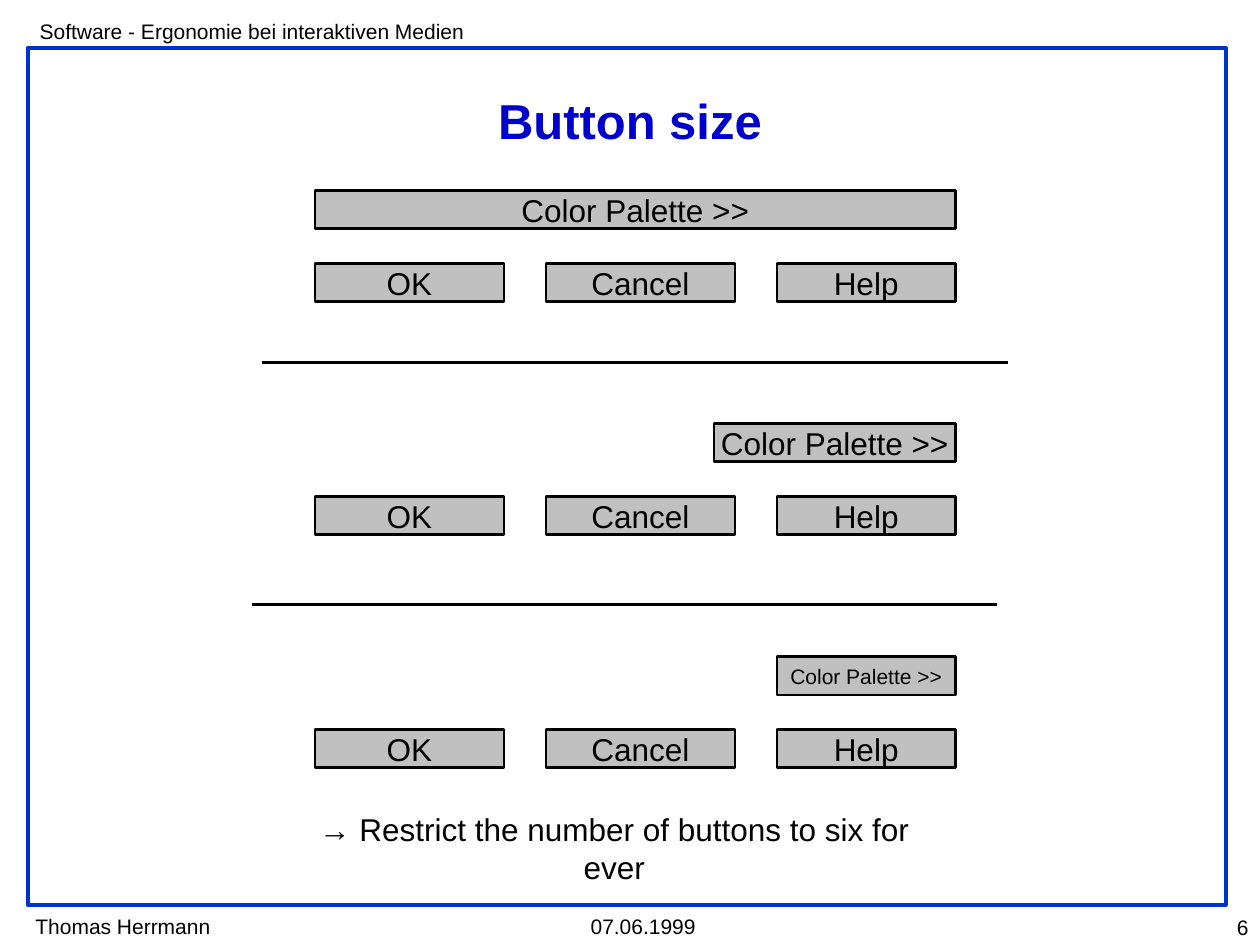
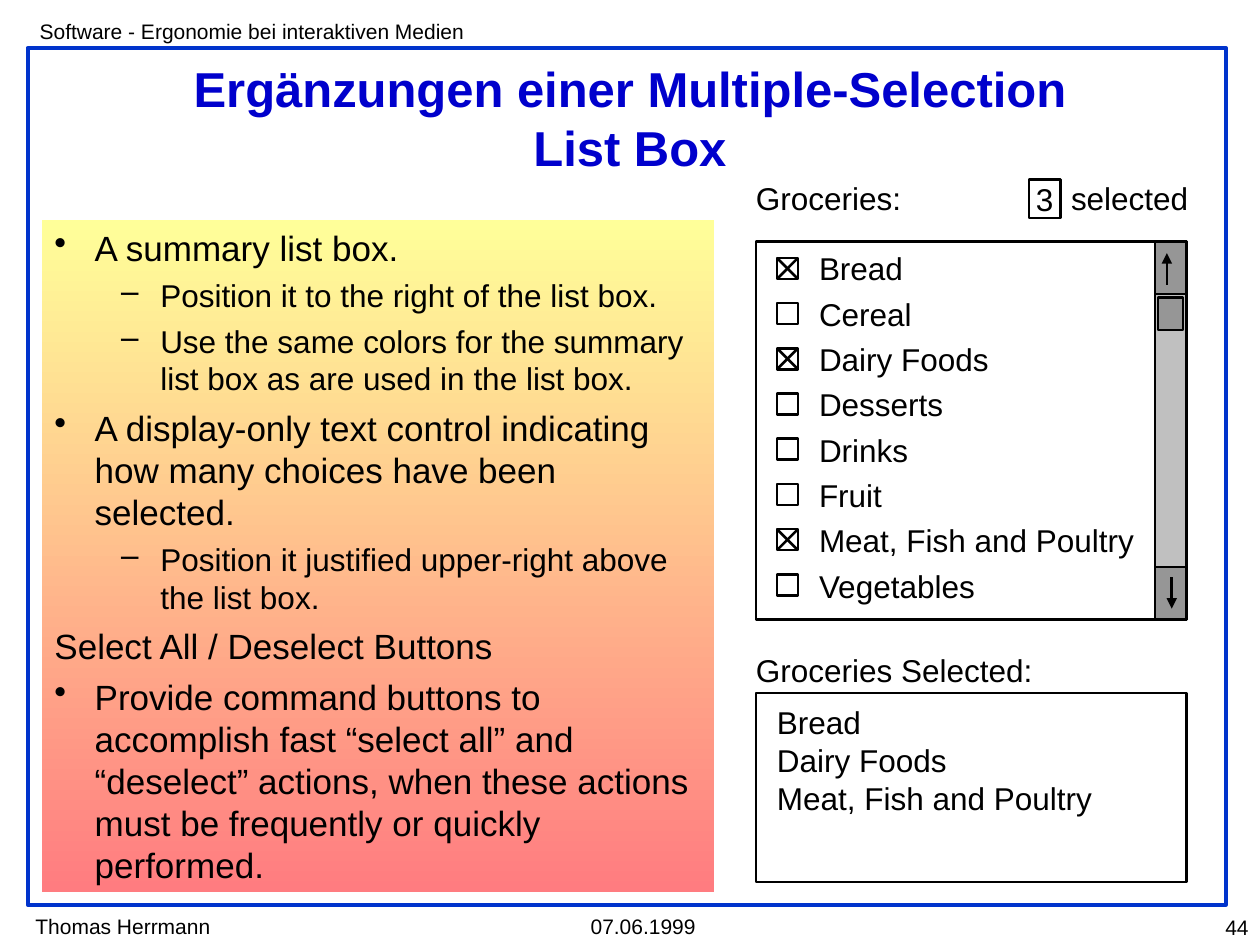
from lxml import etree
from pptx import Presentation
from pptx.dml.color import RGBColor
from pptx.enum.shapes import MSO_CONNECTOR, MSO_SHAPE
from pptx.enum.text import MSO_ANCHOR, PP_ALIGN
from pptx.oxml.ns import qn
from pptx.util import Pt

RECT, LINE = MSO_SHAPE.RECTANGLE, MSO_CONNECTOR.STRAIGHT
TOP, MID = MSO_ANCHOR.TOP, MSO_ANCHOR.MIDDLE
LEFT, CENTER, RIGHT = PP_ALIGN.LEFT, PP_ALIGN.CENTER, PP_ALIGN.RIGHT

BLACK = RGBColor(0x00, 0x00, 0x00)
WHITE = RGBColor(0xFF, 0xFF, 0xFF)
BLUE = RGBColor(0x00, 0x33, 0xCC)
NAVY = RGBColor(0x00, 0x00, 0xCC)
SILVER = RGBColor(0xC0, 0xC0, 0xC0)
GRAY = RGBColor(0x96, 0x96, 0x96)
YELLOW = RGBColor(0xFF, 0xFF, 0x99)
ROSE = RGBColor(0xFF, 0x7C, 0x80)
FONT = "Arial"
INSET = (7.2, 3.6)

# Content: frame texts as (text, left, top, width)
LABELS = [
    ("Software - Ergonomie bei interaktiven Medien", 15.6, 7.2, 290),
    ("Thomas Herrmann", 13.2, 518.6, 130),
    ("07.06.1999", 330.4, 518.6, 90),
]

# Content: button size
SIZE_TITLE = "Button size"
BUTTONS = [("OK", 180, 108), ("Cancel", 312, 108), ("Help", 444, 102)]
PALETTE = "Color Palette >>"
PALETTES = [(180, 18), (408, 18), (444, 12)]  # left, text size
RULES = [(150, 207.2), (144, 345.6)]  # left, top
ADVICE = "→ Restrict the number of buttons to six for ever"

# Content: list box
LIST_TITLE = "Ergänzungen einer Multiple-Selection\vList Box"
POINTS = [  # bullet, text
    ("•", "A summary list box."),
    ("–", "Position it to the right of the list box."),
    ("–", "Use the same colors for the summary list box as are used in the list box."),
    ("•", "A display-only text control indicating how many choices have been selected."),
    ("–", "Position it justified upper-right above the list box."),
    ("", "Select All / Deselect Buttons"),
    ("•", "Provide command buttons to accomplish fast “select all” and “deselect” "
          "actions, when these actions must be frequently or quickly performed."),
]
FOODS = [
    ("Bread", True), ("Cereal", False), ("Dairy Foods", True), ("Desserts", False),
    ("Drinks", False), ("Fruit", False), ("Meat, Fish and Poultry", True),
    ("Vegetables", False),
]
CHOSEN = [name for name, on in FOODS if on]


def write(shape, lines, size, align=LEFT, anchor=MID, inset=(0, 0),
          color=BLACK, bold=False, space=None):
    frame = shape.text_frame
    frame.word_wrap = True
    frame.vertical_anchor = anchor
    frame.margin_left = frame.margin_right = Pt(inset[0])
    frame.margin_top = frame.margin_bottom = Pt(inset[1])
    frame.text = "\n".join(lines)
    for para in frame.paragraphs:
        para.alignment = align
        para.line_spacing = space
        style(para, size, color, bold)


def style(para, size, color=BLACK, bold=False):
    font = para.font
    font.name, font.size, font.bold = FONT, Pt(size), bold
    font.color.rgb = color


def text(slide, lines, box, size, **look):
    write(slide.shapes.add_textbox(*map(Pt, box)), lines, size, **look)


def rect(slide, box, fill=None, line=BLACK, width=1.5):
    shape = slide.shapes.add_shape(RECT, *map(Pt, box))
    shape.shadow.inherit = False
    if fill is None:
        shape.fill.background()
    else:
        shape.fill.solid()
        shape.fill.fore_color.rgb = fill
    if line is None:
        shape.line.fill.background()
    else:
        shape.line.color.rgb = line
        shape.line.width = Pt(width)
    return shape


def button(slide, label, box, size=18, fill=SILVER):
    write(rect(slide, box, fill), [label], size, align=CENTER)


def rule(slide, x1, y1, x2, y2, arrow=False):
    line = slide.shapes.add_connector(LINE, Pt(x1), Pt(y1), Pt(x2), Pt(y2))
    line.line.color.rgb = BLACK
    line.line.width = Pt(1.5)
    if arrow:
        etree.SubElement(line.line._get_or_add_ln(), qn("a:tailEnd"), type="triangle")
    etree.SubElement(line._element.spPr, qn("a:effectLst"))


def bullet(para, mark):
    props = para._p.get_or_add_pPr()
    left, hang = (60.5, 22.3) if mark == "–" else (23, 23)
    props.set("marL", str(Pt(left)))
    props.set("indent", str(-Pt(hang)))
    if mark:
        tint = etree.SubElement(props, qn("a:buClr"))
        etree.SubElement(tint, qn("a:srgbClr"), val=str(BLACK))
        etree.SubElement(props, qn("a:buChar"), char=mark)


def start(deck, title, number, top, height):
    """Add a slide with the shared frame, footer and title."""
    slide = deck.slides.add_slide(deck.slide_layouts[6])
    rect(slide, (15.8, 27.4, 684.8, 489.6), line=BLUE, width=2.25)
    for label, x, y, wide in LABELS:
        text(slide, [label], (x, y, wide, 21.6), 12, anchor=TOP, inset=INSET)
    text(slide, [number], (651.6, 519, 69, 21.6), 12, align=RIGHT, anchor=TOP,
         inset=INSET)
    text(slide, [title], (36, top, 648, height), 28, align=CENTER, inset=INSET,
         color=NAVY, bold=True)
    return slide


def sizes(deck):
    slide = start(deck, SIZE_TITLE, "6", 48.2, 40.3)
    edge = 546
    # Three dialogs, each a palette button above a row of buttons
    for i, (x, size) in enumerate(PALETTES):
        row = 150.5 + 133.2 * i
        button(slide, PALETTE, (x, row - 41.6, edge - x, 21.8), size)
        for label, left, wide in BUTTONS:
            button(slide, label, (left, row, wide, 21.8))
    for x, y in RULES:
        rule(slide, x, y, x + 426, y)
    text(slide, [ADVICE], (167, 473.8, 368, 21.6), 18, align=CENTER)


def advice(slide):
    panel = rect(slide, (24, 125.5, 384, 384), line=None)
    panel.fill.gradient()
    panel.fill.gradient_angle = 270
    for stop, color in zip(panel.fill.gradient_stops, (YELLOW, ROSE)):
        stop.color.rgb = color
    write(panel, [line for _, line in POINTS], 20, inset=INSET)
    for i, (para, (mark, _)) in enumerate(zip(panel.text_frame.paragraphs, POINTS)):
        sub = mark == "–"
        if i:
            para.space_before = Pt(4.5 if sub else 5)
        bullet(para, mark)
        style(para, 18 if sub else 20)


def picker(slide):
    left, top, wide, high = 432, 138, 246, 216
    rect(slide, (left, top, wide, high), WHITE)
    text(slide, [name for name, _ in FOODS], (468, top, 190, 207.4), 18, space=1.2)

    # Scroll bar
    bar, end = 660, 30
    rect(slide, (bar, top, 18, high), GRAY)
    rule(slide, 666.8, 162.7, 666.8, 144.7, arrow=True)
    rule(slide, 669.6, 329.8, 669.6, 347.8, arrow=True)
    rect(slide, (bar, top + end, 18, high - 2 * end), SILVER)
    rect(slide, (661.7, 169.9, 14.4, 18.7), GRAY)

    # Check boxes
    x, side = 444, 12
    for i, (_, on) in enumerate(FOODS):
        y = 147.4 + 25.83 * i
        rect(slide, (x, y, side, side), WHITE)
        if on:
            rule(slide, x, y, x + side, y + side)
            rule(slide, x + side, y, x, y + side)


def lists(deck):
    slide = start(deck, LIST_TITLE, "44", 30.2, 74.2)
    advice(slide)
    picker(slide)
    # Heading and counter
    text(slide, ["Groceries:"], (432, 102.5, 100, 21.6), 18)
    button(slide, "3", (588, 102.7, 18, 21.8), fill=WHITE)
    text(slide, ["selected"], (612, 102.5, 76, 21.6), 18)
    # Summary box
    text(slide, ["Groceries Selected:"], (432, 372.2, 180, 21.6), 18)
    rect(slide, (432, 396, 246, 108), WHITE)
    text(slide, CHOSEN, (444, 402, 200, 64.8), 18)


def main():
    deck = Presentation()
    deck.slide_width, deck.slide_height = Pt(720), Pt(540)
    sizes(deck)
    lists(deck)
    deck.save("out.pptx")


if __name__ == "__main__":
    main()
